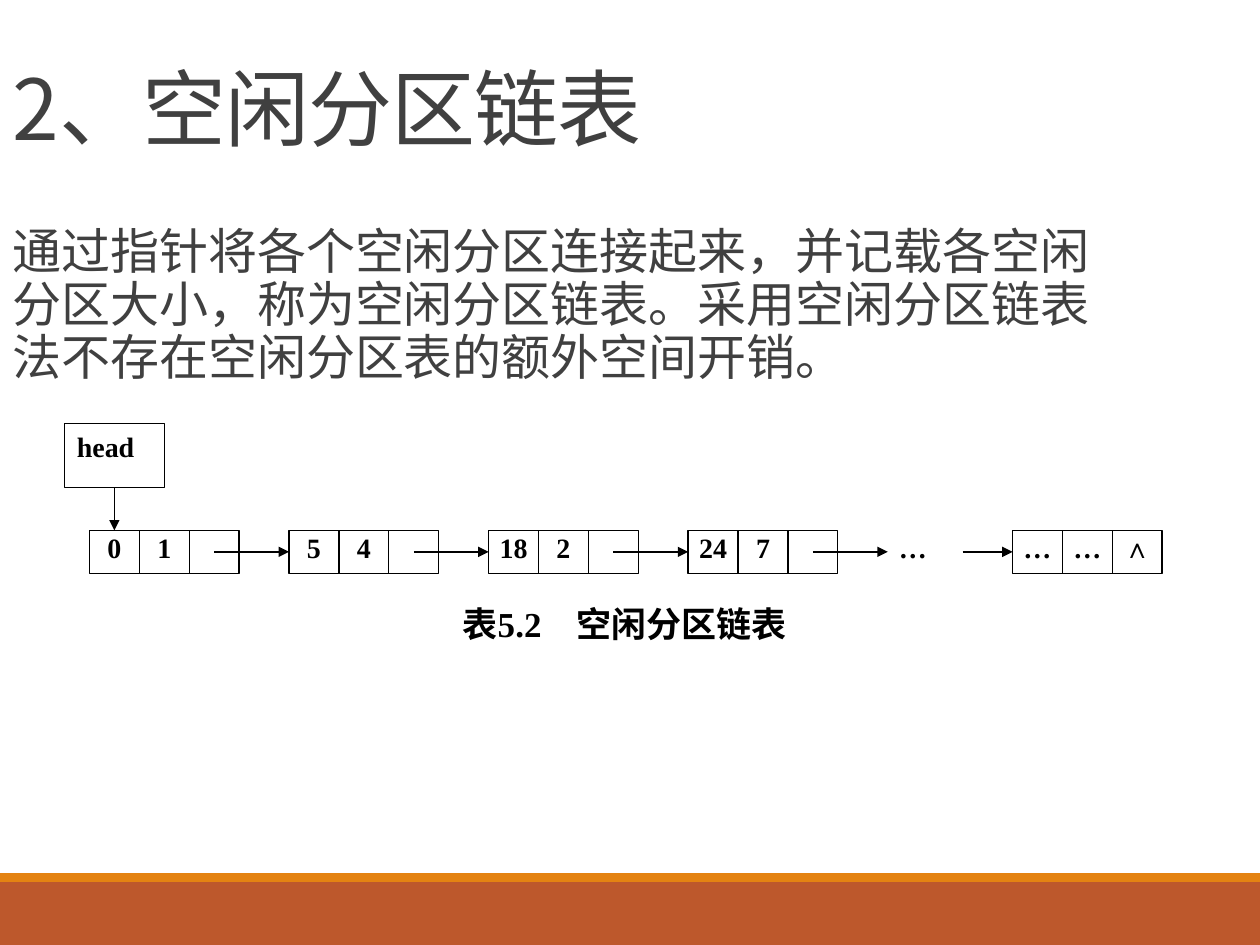
import pptx
import pptx.util
import pptx.dml.color
import pptx.enum.shapes
import pptx.enum.text
import pptx.oxml
import pptx.oxml.ns

Inches, Pt = pptx.util.Inches, pptx.util.Pt
RGB = pptx.dml.color.RGBColor
ALIGN = pptx.enum.text.PP_ALIGN
ANCHOR = pptx.enum.text.MSO_ANCHOR
RECT = pptx.enum.shapes.MSO_SHAPE.RECTANGLE

BLACK = RGB(0x00, 0x00, 0x00)
GREY = RGB(0x40, 0x40, 0x40)
RUST = RGB(0xBD, 0x58, 0x2C)
AMBER = RGB(0xE4, 0x83, 0x12)
HAN = "Noto Sans CJK SC"
ROMAN = "Times New Roman"

WIDE, HIGH = 10, 7.5
# Diagram grid: cells of one column, one node every four columns
LEFT, COL, PITCH = 0.71, 0.396, 4
TOP, ROW = 4.21, 0.34
MID = TOP + ROW / 2
NODES = [("0", "1", ""), ("5", "4", ""), ("18", "2", ""), ("24", "7", "")]
LAST, LAST_COL = ("…", "…", "∧"), 18.5


def col(n):
    return LEFT + n * COL


def add_xml(parent, tag, **attrs):
    item = pptx.oxml.parse_xml(f"<{tag} {pptx.oxml.ns.nsdecls('a')}/>")
    for name, value in attrs.items():
        item.set(name, value)
    parent.append(item)
    return item


def style(para, size, color, face, bold=False, track=None):
    font = para.font
    font.size, font.bold, font.name = Pt(size), bold, face
    font.color.rgb = color
    props = para._p.pPr.find(pptx.oxml.ns.qn("a:defRPr"))
    add_xml(props, "a:ea", typeface=HAN)
    if track is not None:
        props.set("spc", str(track))


def write(shape, text, size, align=ALIGN.CENTER, inset=None):
    frame = shape.text_frame
    frame.word_wrap = True
    frame.vertical_anchor = ANCHOR.TOP
    if inset is not None:
        frame.margin_left = frame.margin_right = Inches(inset)
        frame.margin_top = frame.margin_bottom = Inches(inset)
    para = frame.paragraphs[0]
    para.text, para.alignment = text, align
    style(para, size, BLACK, ROMAN, bold=True)


def fill_holder(shape, text, box, size, space, track=None):
    shape.left, shape.top, shape.width, shape.height = map(Inches, box)
    frame = shape.text_frame
    frame.word_wrap = True
    frame.auto_size = pptx.enum.text.MSO_AUTO_SIZE.NONE
    para = frame.paragraphs[0]
    para.text, para.alignment = text, ALIGN.LEFT
    para.line_spacing, para.space_before = space, Pt(0)
    props = para._p.get_or_add_pPr()
    props.set("indent", "0")
    add_xml(props, "a:buNone")
    style(para, size, GREY, HAN, track=track)
    return frame, props


def add_label(slide, text, box, size, inset=None):
    write(slide.shapes.add_textbox(*map(Inches, box)), text, size, inset=inset)


def add_band(slide, top, height, color):
    band = slide.shapes.add_shape(RECT, *map(Inches, (0, top, WIDE, height)))
    band.shadow.inherit = False
    band.fill.solid()
    band.fill.fore_color.rgb = color
    band.line.fill.background()


def add_box(slide, box):
    shape = slide.shapes.add_shape(RECT, *map(Inches, box))
    shape.shadow.inherit = False
    shape.fill.background()
    shape.line.color.rgb, shape.line.width = BLACK, Pt(0.75)
    return shape


def add_node(slide, start, cells):
    for i, text in enumerate(cells):
        cell = add_box(slide, (col(start + i), TOP, COL, ROW))
        if text:
            write(cell, text, 16, inset=0)


def add_arrow(slide, x1, y1, x2, y2):
    kind = pptx.enum.shapes.MSO_CONNECTOR.STRAIGHT
    arrow = slide.shapes.add_connector(kind, *map(Inches, (x1, y1, x2, y2)))
    arrow.line.color.rgb, arrow.line.width = BLACK, Pt(0.75)
    add_xml(arrow.line._get_or_add_ln(), "a:tailEnd", type="triangle")
    add_xml(arrow._element.spPr, "a:effectLst")


def main():
    deck = pptx.Presentation()
    deck.slide_width, deck.slide_height = Inches(WIDE), Inches(HIGH)
    slide = deck.slides.add_slide(deck.slide_layouts[1])

    # Footer bands
    add_band(slide, 7, 0.5, RUST)
    add_band(slide, 6.93, 0.07, AMBER)

    # Title and body
    frame, _ = fill_holder(slide.shapes.title, "2、空闲分区链表",
                           (0, 0.05, 9, 1.25), 48, 0.85, track=-50)
    frame.vertical_anchor = ANCHOR.BOTTOM
    frame, props = fill_holder(
        slide.placeholders[1],
        "通过指针将各个空闲分区连接起来，并记载各空闲分区大小，称为空闲分区链表。"
        "采用空闲分区链表法不存在空闲分区表的额外空间开销。",
        (0, 1.75, 9, 1.62), 28, 0.9)
    frame.margin_left = frame.margin_right = 0
    frame.vertical_anchor = ANCHOR.TOP
    props.set("marL", str(Inches(0.1)))

    # Linked nodes, each pointing to the next place
    for i, cells in enumerate(NODES):
        start = i * PITCH
        add_node(slide, start, cells)
        add_arrow(slide, col(start + 2.5), MID, col(start + PITCH), MID)

    # Gap and last node
    add_label(slide, "…", (col(len(NODES) * PITCH), TOP, COL, ROW), 16, inset=0)
    add_arrow(slide, col(LAST_COL - 1), MID, col(LAST_COL), MID)
    add_node(slide, LAST_COL, LAST)

    # Head pointer
    head = add_box(slide, (col(-0.5), 3.36, 2 * COL, 0.51))
    write(head, "head", 16, align=ALIGN.JUSTIFY)
    add_arrow(slide, col(0.5), 3.87, col(0.5), TOP)

    # Caption
    add_label(slide, "表5.2　空闲分区链表", (LEFT, 4.73, 8.5, 0.55), 20)

    deck.save("out.pptx")


if __name__ == "__main__":
    main()
